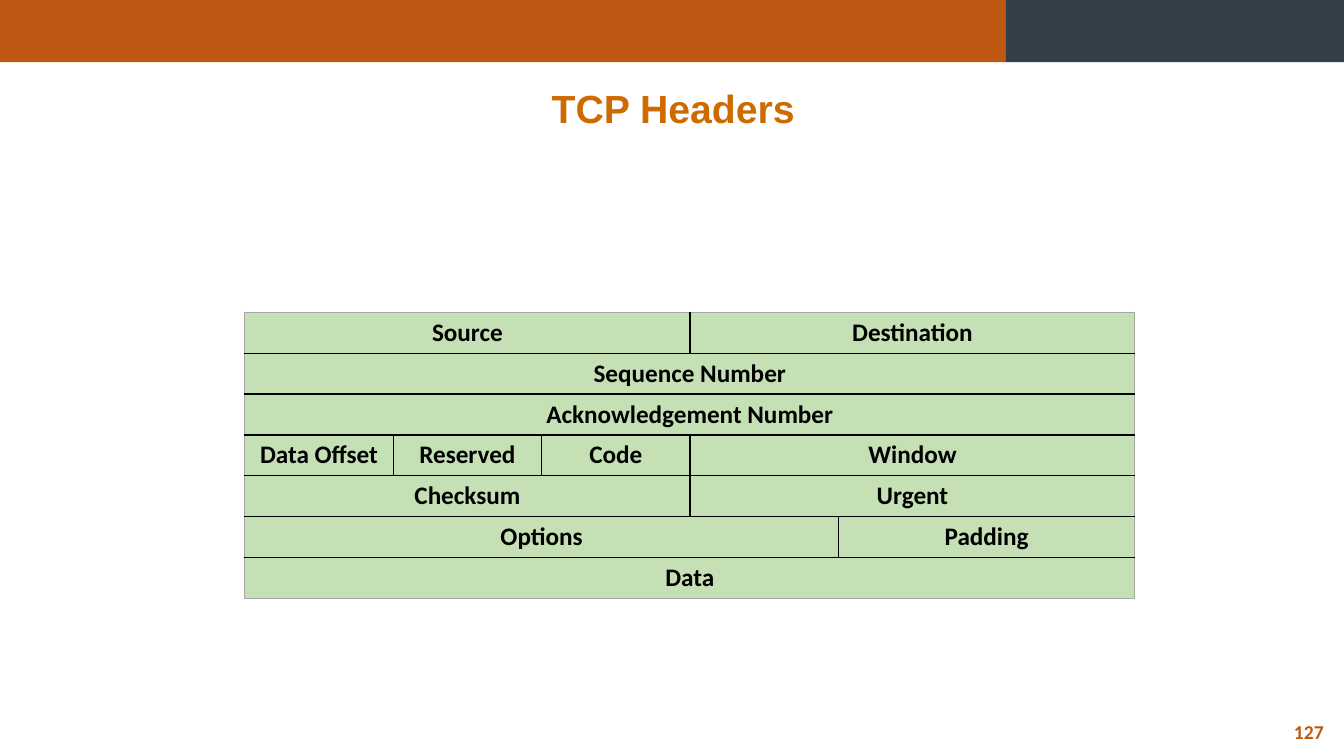
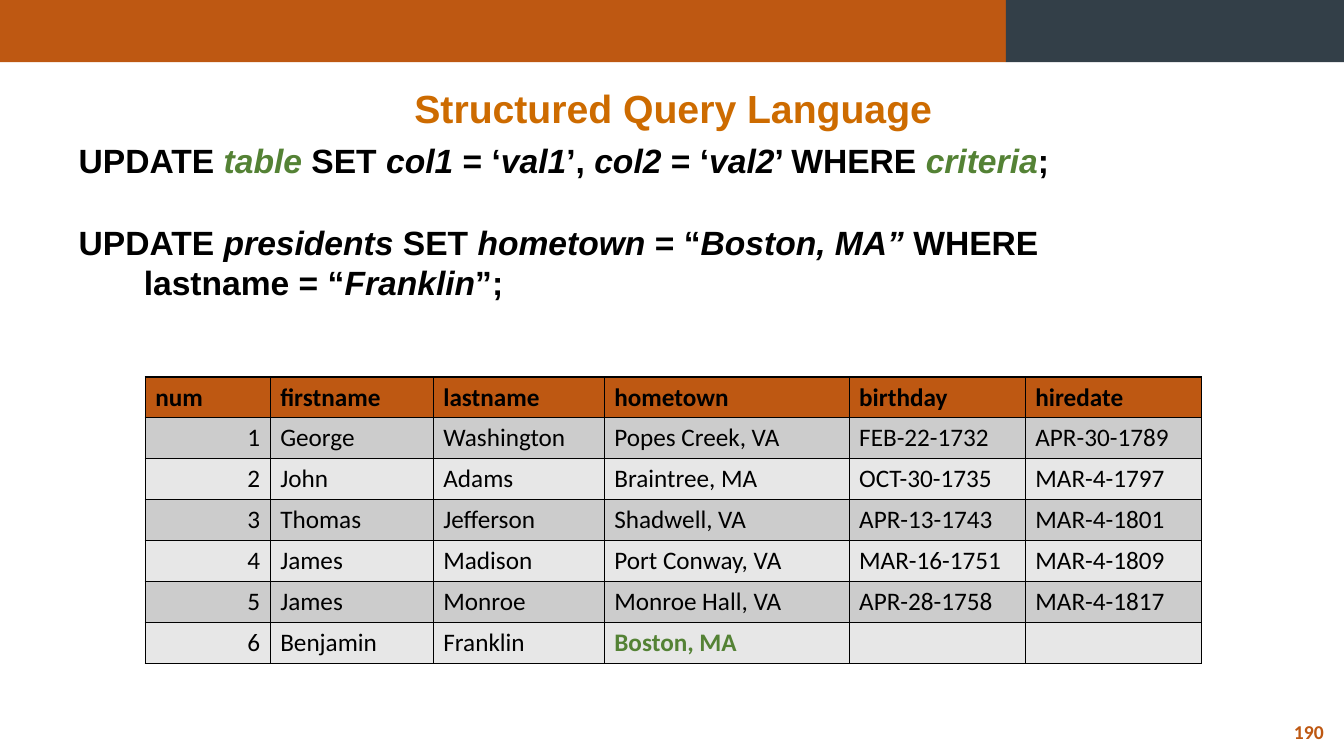
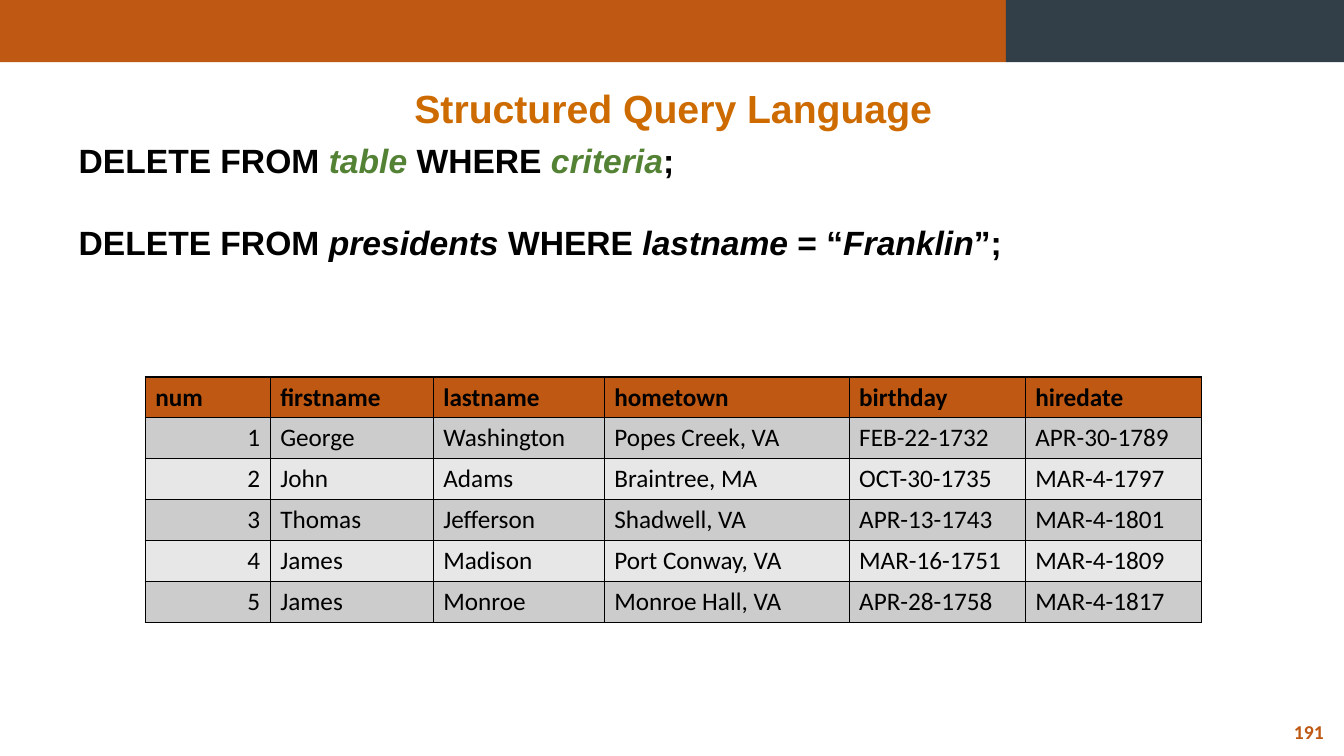
from lxml import etree
from pptx import Presentation
from pptx import util as u
from pptx.dml.color import RGBColor
from pptx.enum import shapes, text
from pptx.oxml import ns

ORANGE, SLATE, GOLD = "BE5812", "333F48", "CD6B00"
GREEN, MINT, BLACK = "548235", "C5E0B4", "000000"
EDGE, DARK, PALE = "A6A6A6", "CCCCCC", "E7E7E7"
LEFT, MID, RIGHT = text.PP_ALIGN.LEFT, text.PP_ALIGN.CENTER, text.PP_ALIGN.RIGHT
SLOTS = ("table", "criteria")
ROW = 1.03
HANG = 1.64

HEADER = [
    [("Source", 3), ("Destination", 2)],
    [("Sequence Number", 5)],
    [("Acknowledgement Number", 5)],
    [("Data Offset", 1), ("Reserved", 1), ("Code", 1), ("Window", 2)],
    [("Checksum", 3), ("Urgent", 2)],
    [("Options", 4), ("Padding", 1)],
    [("Data", 5)],
]
FIELDS = ["num", "firstname", "lastname", "hometown", "birthday", "hiredate"]
PEOPLE = [
    ["1", "George", "Washington", "Popes Creek, VA", "FEB-22-1732", "APR-30-1789"],
    ["2", "John", "Adams", "Braintree, MA", "OCT-30-1735", "MAR-4-1797"],
    ["3", "Thomas", "Jefferson", "Shadwell, VA", "APR-13-1743", "MAR-4-1801"],
    ["4", "James", "Madison", "Port Conway, VA", "MAR-16-1751", "MAR-4-1809"],
    ["5", "James", "Monroe", "Monroe Hall, VA", "APR-28-1758", "MAR-4-1817"],
]
ADDED = ["6", "Benjamin", "Franklin", "Boston, MA", "", ""]


def paint(part, color):
    """Give a fill or a font a solid colour."""
    if hasattr(part, "solid"):
        part.solid()
        part.fore_color.rgb = RGBColor.from_string(color)
    else:
        part.color.rgb = RGBColor.from_string(color)


def write(para, words, size=18, font="Calibri", color=BLACK, bold=False, align=LEFT):
    """Fill a paragraph; text between bars is italic, and slot names are green."""
    para.alignment = align
    for i, part in enumerate(words.split("|")):
        for j, piece in enumerate(part.split("\n")):
            if j:
                para.add_line_break()
            if not piece:
                continue
            run = para.add_run()
            run.text = piece
            run.font.size = u.Pt(size)
            run.font.name = font
            run.font.bold = bold
            run.font.italic = i % 2 == 1
            paint(run.font, GREEN if i % 2 and piece in SLOTS else color)


def place(shape, left, top, width, height):
    shape.left, shape.top = u.Cm(left), u.Cm(top)
    shape.width, shape.height = u.Cm(width), u.Cm(height)


def band(slide, left, width, color):
    box = slide.shapes.add_shape(
        shapes.MSO_SHAPE.RECTANGLE, u.Cm(left), 0, u.Cm(width), u.Cm(1.57))
    box.shadow.inherit = False
    paint(box.fill, color)
    box.line.fill.background()


def start(deck, layout, title, number):
    """Add a slide with its bands, title and page number."""
    slide = deck.slides.add_slide(deck.slide_layouts[layout])
    band(slide, 0, 25.35, ORANGE)
    band(slide, 25.35, 8.52, SLATE)
    head = slide.shapes.title
    place(head, 0.71, 2, 32.51, 1.45)
    head.text_frame.auto_size = text.MSO_AUTO_SIZE.NONE
    write(head.text_frame.paragraphs[0], title, size=28, font="Arial",
          color=GOLD, bold=True, align=MID)
    page = slide.shapes.add_textbox(u.Cm(31.78), u.Cm(18.01), u.Cm(1.83), u.Cm(0.86))
    page.text_frame.word_wrap = True
    write(page.text_frame.paragraphs[0], str(number), size=14,
          color=ORANGE, bold=True, align=RIGHT)
    return slide


def code(slide, lines, height):
    """Put statements in the body, without bullets and with a hanging indent."""
    body = slide.placeholders[1]
    place(body, 1.73, 3.4, 27.38, height)
    frame = body.text_frame
    frame.auto_size = text.MSO_AUTO_SIZE.NONE
    for i, line in enumerate(lines):
        para = frame.add_paragraph() if i else frame.paragraphs[0]
        props = para._p.get_or_add_pPr()
        props.set("marL", str(u.Cm(HANG)))
        props.set("indent", str(-u.Cm(HANG)))
        etree.SubElement(props, ns.qn("a:buNone"))
        para.line_spacing = u.Pt(29)
        para.space_before = u.Pt(29 if i else 0)
        write(para, line, size=24, font="Arial", bold=True)


def border(cell, colors):
    """Draw the left, right, top and bottom lines of a cell."""
    props = cell._tc.get_or_add_tcPr()
    for side, color in zip("LRTB", colors):
        line = etree.SubElement(props, ns.qn("a:ln" + side), w=str(u.Pt(1)))
        fill = etree.SubElement(line, ns.qn("a:solidFill"))
        etree.SubElement(fill, ns.qn("a:srgbClr"), val=color)


def grid(slide, left, top, widths, count):
    """Add a plain table with equal rows."""
    frame = slide.shapes.add_table(count, len(widths), u.Cm(left), u.Cm(top),
                                   u.Cm(sum(widths)), u.Cm(ROW * count))
    table = frame.table
    table.first_row = table.horz_banding = False
    for col, width in zip(table.columns, widths):
        col.width = u.Cm(width)
    for row in table.rows:
        row.height = u.Cm(ROW)
    return table


def finish(table, color, edge):
    """Fill and frame every cell; color gives the fill of a row."""
    rows, cols = len(table.rows), len(table.columns)
    for r in range(rows):
        for c in range(cols):
            cell = table.cell(r, c)
            end = c + (cell.span_width if cell.is_merge_origin else 1)
            outer = (c == 0, end == cols, r == 0, r == rows - 1)
            border(cell, [edge if out else BLACK for out in outer])
            paint(cell.fill, color(r))


def packet(slide):
    table = grid(slide, 6.17, 7.87, [3.74] * 4 + [7.47], len(HEADER))
    for r, row in enumerate(HEADER):
        c = 0
        for name, span in row:
            cell = table.cell(r, c)
            if span > 1:
                cell.merge(table.cell(r, c + span - 1))
            write(cell.text_frame.paragraphs[0], name, bold=True, align=MID)
            c += span
    finish(table, lambda r: MINT, EDGE)


def roster(slide, people, fresh=None):
    """Add the table of people, with the value called fresh in green."""
    rows = [FIELDS] + people
    table = grid(slide, 3.66, 9.5, [3.15, 4.11, 4.31, 6.17, 4.44, 4.44], len(rows))
    for r, row in enumerate(rows):
        for c, value in enumerate(row):
            new = value == fresh
            write(table.cell(r, c).text_frame.paragraphs[0], value,
                  color=GREEN if new else BLACK, bold=new or r == 0,
                  align=RIGHT if r and c == 0 else LEFT)
    finish(table, lambda r: (DARK if r % 2 else PALE) if r else ORANGE, BLACK)


def main():
    deck = Presentation()
    deck.slide_width, deck.slide_height = u.Cm(33.87), u.Cm(19.05)

    packet(start(deck, 5, "TCP Headers", 127))

    slide = start(deck, 1, "Structured Query Language", 190)
    code(slide, [
        "UPDATE |table| SET |col1| = ‘|val1|’, |col2| = ‘|val2|’ WHERE |criteria|;",
        "UPDATE |presidents| SET |hometown| = “|Boston, MA”| WHERE\n"
        "lastname = “|Franklin|”;",
    ], 4.37)
    roster(slide, PEOPLE + [ADDED], "Boston, MA")

    slide = start(deck, 1, "Structured Query Language", 191)
    code(slide, [
        "DELETE FROM |table| WHERE |criteria|;",
        "DELETE FROM |presidents| WHERE |lastname| = “|Franklin|”;",
    ], 3.33)
    roster(slide, PEOPLE)

    deck.save("out.pptx")


if __name__ == "__main__":
    main()
